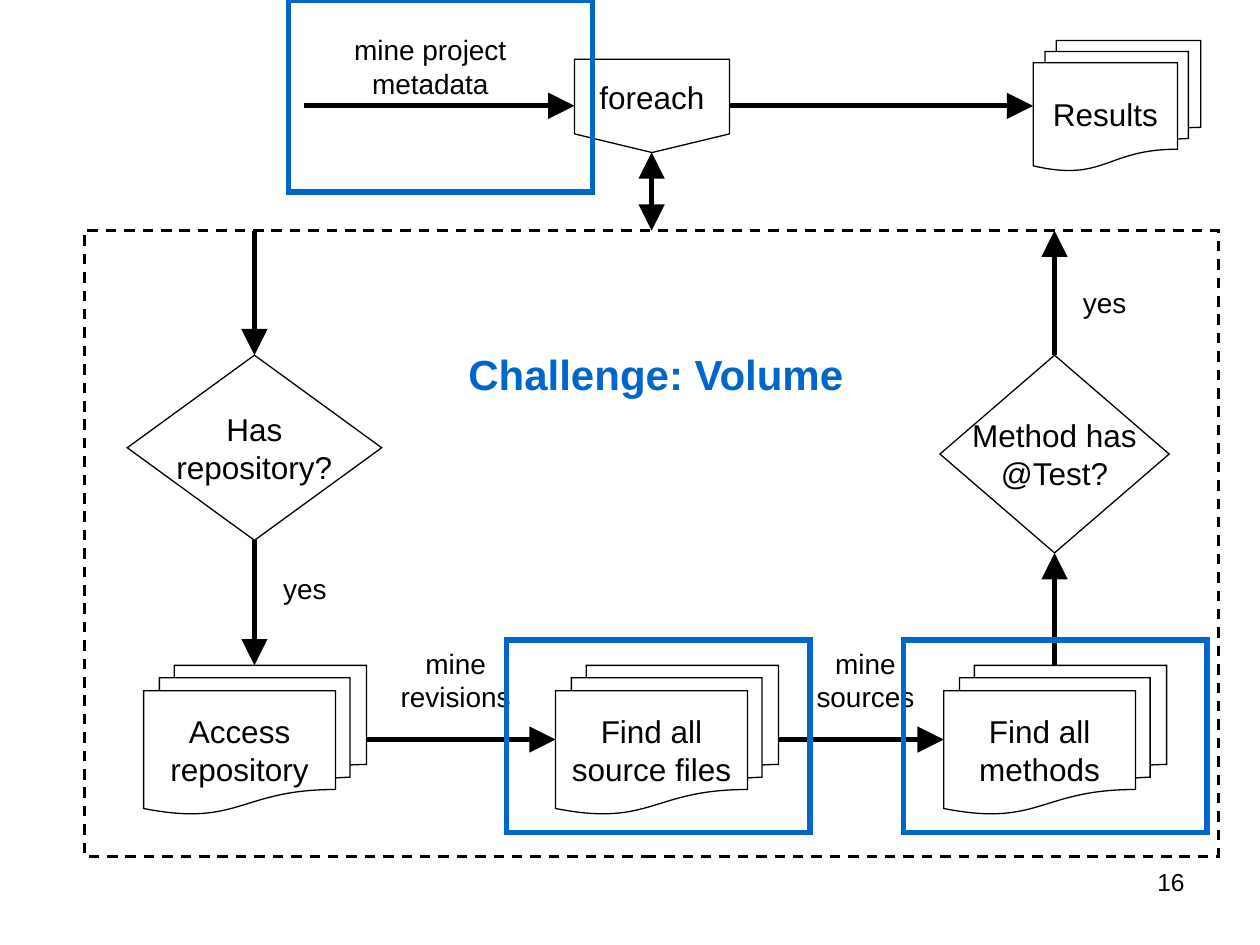
from dataclasses import dataclass
from lxml import etree
from pptx import Presentation
from pptx import util as u
from pptx.dml.color import RGBColor
from pptx.enum import dml, shapes, text
from pptx.oxml import ns


@dataclass(frozen=True)
class Theme:
    font: str = "Arial"
    ink: RGBColor = RGBColor(0, 0, 0)
    paper: RGBColor = RGBColor(255, 255, 255)
    accent: RGBColor = RGBColor(0x00, 0x66, 0xCC)
    page: int = 14
    label: int = 16
    step: int = 18
    heading: int = 24
    thin: float = 0.75
    frame: float = 1.5
    thick: float = 3


theme = Theme()
CENTER, LEFT, RIGHT = text.PP_ALIGN.CENTER, text.PP_ALIGN.LEFT, text.PP_ALIGN.RIGHT
Kind = shapes.MSO_SHAPE

deck = Presentation()
deck.slide_width, deck.slide_height = u.Pt(720), u.Pt(540)
slide = deck.slides.add_slide(deck.slide_layouts[6])


def write(frame, wording, size, color=theme.ink, align=CENTER, bold=False, wrap=False):
    frame.text = wording
    frame.word_wrap = wrap
    for paragraph in frame.paragraphs:
        paragraph.alignment = align
        for run in paragraph.runs:
            run.font.name, run.font.size, run.font.bold = theme.font, u.Pt(size), bold
            run.font.color.rgb = color


def outline(kind, box, color, width, fill=None):
    part = slide.shapes.add_shape(kind, *map(u.Pt, box))
    part.shadow.inherit = False
    if fill is None:
        part.fill.background()
    else:
        part.fill.solid()
        part.fill.fore_color.rgb = fill
    part.line.color.rgb = color
    part.line.width = u.Pt(width)
    etree.SubElement(part.line._get_or_add_ln(), ns.qn("a:miter"), lim="800000")
    return part


loop = outline(Kind.RECTANGLE, (48.2, 131.8, 648, 357.8), theme.ink, theme.frame)
loop.line.dash_style = dml.MSO_LINE.DASH

top_y, loop_y, decision_y, stack_y, stack_mid = 60.5, 131.8, 203, 380.2, 422.6
repository_x, foreach_x, method_x = 145.4, 372.4, 602.6
stack_w, stack_h = 127.4, 85
access_x, files_x, methods_x = 82.1, 317.5, 539.3

steps = [
    ("Results", Kind.FLOWCHART_MULTIDOCUMENT, (590.4, 23.2, 95.8, 74.4)),
    ("foreach", Kind.FLOWCHART_OFFPAGE_CONNECTOR, (328.3, 33.9, 88.6, 53.3)),
    ("Has\nrepository?", Kind.FLOWCHART_DECISION, (72.7, decision_y, 145.4, 105.8)),
    ("Method has\n@Test?", Kind.FLOWCHART_DECISION, (537.1, decision_y, 131, 113)),
]
for wording, x in [
    ("Access\nrepository", access_x),
    ("Find all\nsource files", files_x),
    ("Find all\nmethods", methods_x),
]:
    steps.append((wording, Kind.FLOWCHART_MULTIDOCUMENT, (x, stack_y, stack_w, stack_h)))

for wording, kind, box in steps:
    step = outline(kind, box, theme.ink, theme.thin, theme.paper)
    step.text_frame.vertical_anchor = text.MSO_ANCHOR.MIDDLE
    write(step.text_frame, wording, theme.step)

for start, end, ends in [
    ((173.5, top_y), (328.3, top_y), ["tailEnd"]),
    ((416.9, top_y), (590.4, top_y), ["tailEnd"]),
    ((foreach_x, 87.1), (foreach_x, loop_y), ["headEnd", "tailEnd"]),
    ((repository_x, loop_y), (repository_x, decision_y), ["tailEnd"]),
    ((repository_x, 308.8), (repository_x, stack_y), ["tailEnd"]),
    ((access_x + stack_w, stack_mid), (files_x, stack_mid), ["tailEnd"]),
    ((files_x + stack_w, stack_mid), (methods_x, stack_mid), ["tailEnd"]),
    ((method_x, stack_y), (method_x, 316), ["tailEnd"]),
    ((method_x, decision_y), (method_x, loop_y), ["tailEnd"]),
]:
    arrow = slide.shapes.add_connector(
        shapes.MSO_CONNECTOR.STRAIGHT, *map(u.Pt, start + end))
    arrow.line.color.rgb = theme.ink
    arrow.line.width = u.Pt(theme.thick)
    stroke = arrow.line._get_or_add_ln()
    for tag in ends:
        etree.SubElement(stroke, ns.qn("a:" + tag), type="triangle", w="lg", len="lg")
    etree.SubElement(arrow._element.spPr, ns.qn("a:effectLst"))

for wording, box in [
    ("mine project\nmetadata", (195.1, 15.1, 101.5, 45.4)),
    ("yes", (610.2, 159.8, 42, 26.6)),
    ("yes", (153.2, 323.3, 42, 26.6)),
    ("mine\nrevisions", (221.4, 365.8, 78, 45.4)),
    ("mine\nsources", (459, 365.8, 71, 45.4)),
]:
    label = slide.shapes.add_textbox(*map(u.Pt, box))
    write(label.text_frame, wording, theme.label)

challenge = slide.shapes.add_textbox(*map(u.Pt, (260.6, 195.8, 230.4, 36)))
write(challenge.text_frame, "Challenge: Volume", theme.heading, theme.accent, LEFT, bold=True)

page_number = slide.shapes.add_textbox(*map(u.Pt, (516.2, 491.8, 167.8, 37.4)))
write(page_number.text_frame, "16", theme.page, align=RIGHT, wrap=True)

for x, y in [(289.4, 365.8), (164.9, 0), (516.2, 365.8)]:
    outline(Kind.RECTANGLE, (x, y, 173.5, 109.8), theme.accent, theme.thick)

deck.save("out.pptx")
